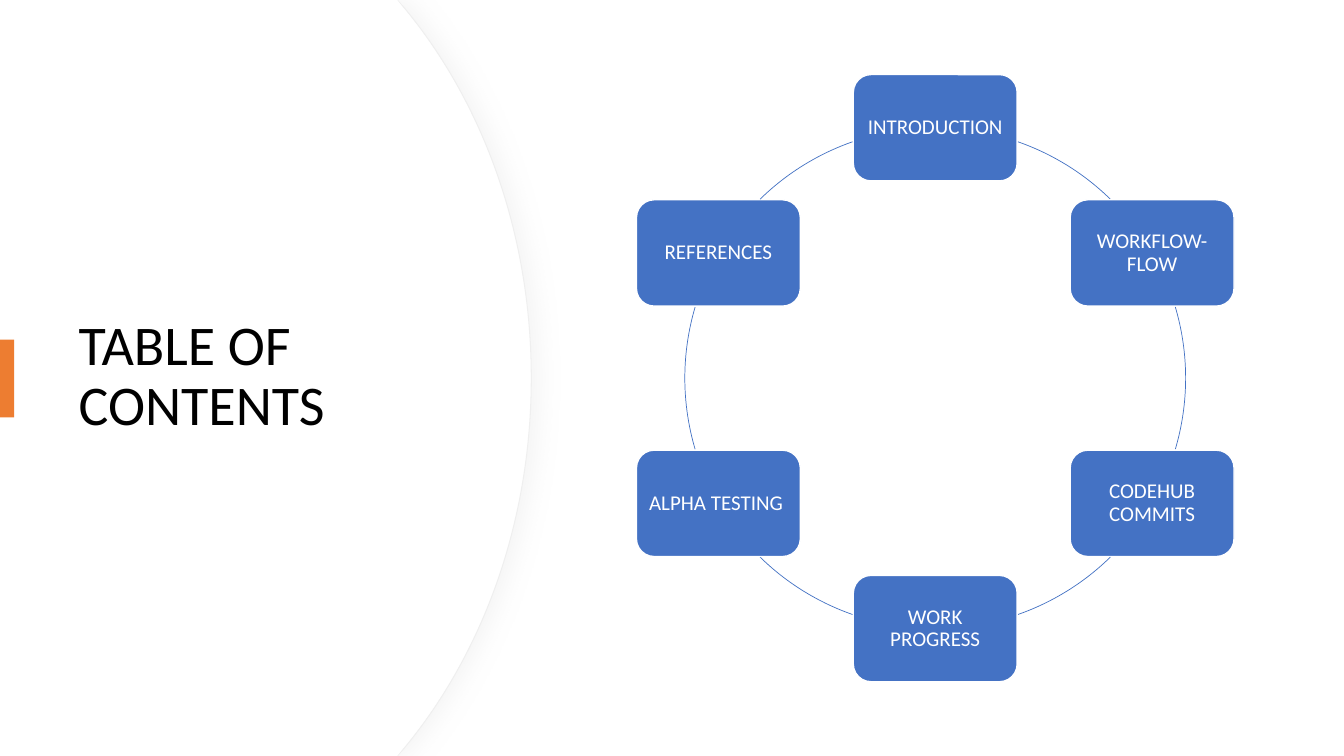
from dataclasses import dataclass
from math import cos, radians, sin

from lxml import etree
from pptx import Presentation
from pptx.dml.color import RGBColor
from pptx.enum import shapes, text
from pptx.oxml import ns
from pptx.util import Cm, Pt


@dataclass(frozen=True)
class Theme:
    font: str = "Calibri"
    title_size: float = 40
    card_size: float = 15
    white: str = "FFFFFF"
    black: str = "000000"
    blue: str = "4472C4"
    orange: str = "ED7D31"
    panel_edge: str = "EFEFEF"
    panel_shadow: str = "D9D9D9"


@dataclass(frozen=True)
class Topic:
    """A card on the ring and the arc that follows it, in degrees clockwise from east."""
    label: str
    arc_start: float
    arc_end: float


THEME = Theme()
PAGE_WIDTH, PAGE_HEIGHT = 33.87, 19.05
RING_X, RING_Y, RING_RADIUS = 23.57, 9.53, 6.31
CARD_WIDTH, CARD_HEIGHT = 4.13, 2.68
TOPICS = [
    Topic("INTRODUCTION", 289.3, 314.4),
    Topic("WORKFLOW-FLOW", 343.5, 16.5),
    Topic("CODEHUB COMMITS", 45.6, 70.7),
    Topic("WORK PROGRESS", 109.3, 134.4),
    Topic("ALPHA TESTING ", 163.5, 196.5),
    Topic("REFERENCES", 225.6, 250.7),
]


def write_text(shape, content: str, *, size: float, color: str,
               align=text.PP_ALIGN.LEFT, margin: float | None = None) -> None:
    frame = shape.text_frame
    frame.word_wrap = True
    frame.auto_size = text.MSO_AUTO_SIZE.NONE
    frame.vertical_anchor = text.MSO_ANCHOR.MIDDLE
    if margin is not None:
        frame.margin_left = frame.margin_right = Cm(margin)
        frame.margin_top = frame.margin_bottom = Cm(margin)
    para = frame.paragraphs[0]
    para.alignment = align
    para.line_spacing = 0.9
    span = para.add_run()
    span.text = content
    span.font.name = THEME.font
    span.font.size = Pt(size)
    span.font.color.rgb = RGBColor.from_string(color)


def paint(shape, *, fill: str | None = None, line: str | None = None,
          width: float = 1) -> None:
    shape.shadow.inherit = False
    if fill:
        shape.fill.solid()
        shape.fill.fore_color.rgb = RGBColor.from_string(fill)
    else:
        shape.fill.background()
    if line:
        shape.line.color.rgb = RGBColor.from_string(line)
        shape.line.width = Pt(width)
    else:
        shape.line.fill.background()


def bend_segments(shape, first: int) -> None:
    """Turn three line segments, from the given one on, into one cubic curve."""
    lines = list(shape.element.iter(ns.qn("a:lnTo")))[first:first + 3]
    curve = etree.Element(ns.qn("a:cubicBezTo"))
    lines[0].addprevious(curve)
    for line in lines:
        curve.append(line[0])
        line.getparent().remove(line)


def add_panel(page, inset: float = 0):
    upper = [(10.01, 0), (10.19 - inset, 0.2), (12.17 - inset, 2.59),
             (13.39 - inset, 5.89), (13.39 - inset, PAGE_HEIGHT / 2)]
    lower = [(x, PAGE_HEIGHT - y) for x, y in reversed(upper[:-1])]
    edge = [(Cm(x), Cm(y)) for x, y in upper + lower]
    builder = page.shapes.build_freeform(0, 0)
    builder.add_line_segments(edge + [(0, Cm(PAGE_HEIGHT))], close=True)
    panel = builder.convert_to_shape()
    bend_segments(panel, 5)
    bend_segments(panel, 2)
    # The curve only reaches its end point, as the control points do.
    return panel


def add_right_shadow(shape, color: str) -> None:
    effects = shape.element.spPr.find(ns.qn("a:effectLst"))
    shadow = etree.SubElement(effects, ns.qn("a:outerShdw"), blurRad=str(Pt(16)),
                              dist=str(Pt(6)), dir="0", algn="l", rotWithShape="0")
    tone = etree.SubElement(shadow, ns.qn("a:srgbClr"), val=color)
    etree.SubElement(tone, ns.qn("a:alpha"), val="25000")


def add_card(page, topic: Topic, angle: float) -> None:
    left = RING_X + RING_RADIUS * cos(radians(angle)) - CARD_WIDTH / 2
    top = RING_Y + RING_RADIUS * sin(radians(angle)) - CARD_HEIGHT / 2
    card = page.shapes.add_shape(shapes.MSO_SHAPE.ROUNDED_RECTANGLE,
                                 Cm(left), Cm(top), Cm(CARD_WIDTH), Cm(CARD_HEIGHT))
    paint(card, fill=THEME.blue, line=THEME.white)
    write_text(card, topic.label, size=THEME.card_size, color=THEME.white,
               align=text.PP_ALIGN.CENTER, margin=0.15)


def add_ring_arc(page, topic: Topic) -> None:
    arc = page.shapes.add_shape(
        shapes.MSO_SHAPE.ARC, Cm(RING_X - RING_RADIUS), Cm(RING_Y - RING_RADIUS),
        Cm(2 * RING_RADIUS), Cm(2 * RING_RADIUS))
    # Arc angles are stored in 1/60000 degree, adjustments in 1/100000.
    arc.adjustments[0] = topic.arc_start * 0.6
    arc.adjustments[1] = topic.arc_end * 0.6
    paint(arc, line=THEME.blue, width=0.5)


def main() -> None:
    deck = Presentation()
    deck.slide_width, deck.slide_height = Cm(PAGE_WIDTH), Cm(PAGE_HEIGHT)
    page = deck.slides.add_slide(deck.slide_layouts[5])

    shadow_panel = add_panel(page)
    paint(shadow_panel, fill=THEME.white, line=THEME.panel_edge, width=0.75)
    add_right_shadow(shadow_panel, THEME.panel_shadow)
    paint(add_panel(page, inset=0.03), fill=THEME.white)

    title = page.shapes.title
    title.left, title.top, title.width, title.height = Cm(1.73), Cm(3.23), Cm(10), Cm(12.57)
    write_text(title, "TABLE OF CONTENTS", size=THEME.title_size, color=THEME.black)
    title.element.getparent().append(title.element)  # bring in front of the panels

    marker = page.shapes.add_shape(shapes.MSO_SHAPE.RECTANGLE,
                                   0, Cm(8.56), Cm(0.36), Cm(1.96))
    paint(marker, fill=THEME.orange)

    for index, topic in enumerate(TOPICS):
        add_card(page, topic, -90 + index * 360 / len(TOPICS))
        add_ring_arc(page, topic)
    deck.save("out.pptx")


if __name__ == "__main__":
    main()
